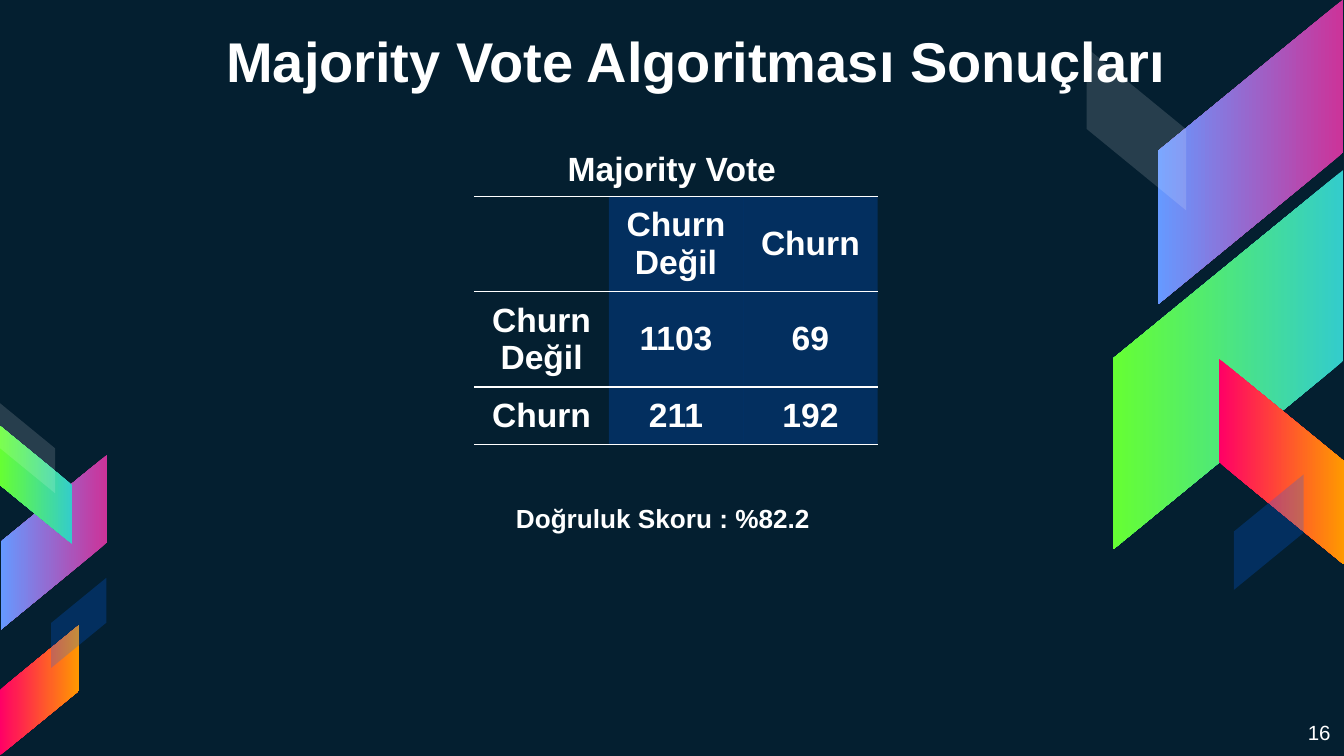
from dataclasses import dataclass
from typing import Any, Optional

from lxml.etree import SubElement
from pptx import Presentation
from pptx.dml.color import RGBColor as Rgb
from pptx.enum.shapes import MSO_SHAPE as Shape
from pptx.enum.text import MSO_ANCHOR as Anchor, MSO_AUTO_SIZE as AutoSize, PP_ALIGN as Align
from pptx.oxml.ns import qn
from pptx.util import Inches, Pt


@dataclass(frozen=True)
class Theme:
    font: str = "Arial"
    background: str = "041F30"
    white: str = "FFFFFF"
    blue: str = "0066FF"
    violet: tuple = ("CC3399", "6699FF")
    green: tuple = ("33CCCC", "66FF33")
    fire: tuple = ("FF0066", "FF9900")
    white_alpha: int = 14
    blue_alpha: int = 23
    title_size: int = 30
    table_size: int = 18
    score_size: int = 14
    number_size: int = 11
    rule_width: float = 0.75


THEME = Theme()


@dataclass(frozen=True)
class Ribbon:
    left: float
    top: float
    width: float
    height: float
    rotation: int
    flipped: bool
    gradient: Optional[tuple] = None
    color: str = THEME.white
    alpha: int = THEME.white_alpha


RIBBONS = [
    # Right cluster
    Ribbon(8.17, 0.44, 2.27, 1.38, 90, True, THEME.violet),
    Ribbon(7.73, 1.82, 2.82, 1.71, 90, True, THEME.green),
    Ribbon(8.77, 2.97, 1.53, 0.93, 270, False, THEME.fire),
    Ribbon(7.85, 0.59, 1.21, 0.74, 270, False),
    Ribbon(9.01, 3.7, 0.86, 0.52, 270, True, None, THEME.blue, THEME.blue_alpha),
    # Left cluster
    Ribbon(-0.25, 3.64, 1.3, 0.79, 90, True, THEME.violet),
    Ribbon(-0.17, 3.34, 0.88, 0.54, 90, False, THEME.green),
    Ribbon(-0.19, 4.84, 0.97, 0.59, 270, True, THEME.fire),
    Ribbon(-0.13, 3.13, 0.67, 0.41, 270, False),
    Ribbon(0.25, 4.43, 0.67, 0.41, 270, True, None, THEME.blue, THEME.blue_alpha),
]

MATRIX = [
    ["", "Churn Değil", "Churn"],
    ["Churn Değil", "1103", "69"],
    ["Churn", "211", "192"],
]
ROW_HEIGHTS = [0.71, 0.71, 0.43]
COLUMN_WIDTH = 1


def fill_translucent(fill: Any, properties: Any, color: str, alpha: int) -> None:
    fill.solid()
    fill.fore_color.rgb = Rgb.from_string(color)
    color_element = next(properties.iter(qn("a:srgbClr")))
    SubElement(color_element, qn("a:alpha")).set("val", str(alpha * 1000))


def draw_ribbon(page: Any, ribbon: Ribbon) -> None:
    shape = page.shapes.add_shape(
        Shape.PARALLELOGRAM, Inches(ribbon.left), Inches(ribbon.top),
        Inches(ribbon.width), Inches(ribbon.height))
    shape.adjustments[0] = 0.819
    shape.rotation = ribbon.rotation
    if ribbon.flipped:
        shape.element.spPr.xfrm.set("flipH", "1")
    shape.shadow.inherit = False
    shape.line.fill.background()
    if ribbon.gradient:
        shape.fill.gradient()
        shape.fill.gradient_angle = 270
        for stop, color in zip(shape.fill.gradient_stops, ribbon.gradient):
            stop.color.rgb = Rgb.from_string(color)
    else:
        fill_translucent(shape.fill, shape.element.spPr, ribbon.color, ribbon.alpha)


def write_text(frame: Any, text: str, *, size: int, bold: bool = True,
               align: Any = Align.CENTER) -> None:
    para = frame.paragraphs[0]
    para.alignment = align
    span = para.add_run()
    span.text = text
    span.font.name = THEME.font
    span.font.size = Pt(size)
    span.font.bold = bold
    span.font.color.rgb = Rgb.from_string(THEME.white)


def prepare_frame(frame: Any, anchor: Any = Anchor.TOP) -> None:
    frame.word_wrap = True
    frame.auto_size = AutoSize.NONE
    frame.vertical_anchor = anchor
    frame.margin_left = frame.margin_right = Inches(0.1)
    frame.margin_top = frame.margin_bottom = Inches(0.1)


def add_text(page: Any, left: float, top: float, width: float, height: float,
             text: str, **style: Any) -> None:
    box = page.shapes.add_textbox(Inches(left), Inches(top), Inches(width), Inches(height))
    prepare_frame(box.text_frame)
    write_text(box.text_frame, text, **style)


def set_borders(properties: Any) -> None:
    """Rule the top and bottom of a cell and leave its sides open."""
    for position, side in enumerate(("lnL", "lnR", "lnT", "lnB")):
        line = SubElement(properties, qn(f"a:{side}"))
        properties.insert(position, line)
        if side in ("lnL", "lnR"):
            SubElement(line, qn("a:noFill"))
        else:
            line.set("w", str(Pt(THEME.rule_width)))
            solid = SubElement(line, qn("a:solidFill"))
            SubElement(solid, qn("a:srgbClr")).set("val", THEME.white)


def draw_matrix(page: Any, left: float, top: float) -> None:
    count = len(MATRIX[0])
    table = page.shapes.add_table(
        len(MATRIX), count, Inches(left), Inches(top),
        Inches(COLUMN_WIDTH * count), Inches(sum(ROW_HEIGHTS))).table
    table.first_row = table.horz_banding = False
    for column in table.columns:
        column.width = Inches(COLUMN_WIDTH)
    for row, values, height in zip(table.rows, MATRIX, ROW_HEIGHTS):
        row.height = Inches(height)
        for column_index, (cell, value) in enumerate(zip(row.cells, values)):
            cell.vertical_anchor = Anchor.MIDDLE
            cell.margin_left = cell.margin_right = Inches(0.1)
            cell.margin_top = cell.margin_bottom = Inches(0.07)
            properties = cell._tc.get_or_add_tcPr()
            if column_index:
                fill_translucent(cell.fill, properties, THEME.blue, THEME.blue_alpha)
            else:
                cell.fill.background()
            set_borders(properties)
            if value:
                write_text(cell.text_frame, value, size=THEME.table_size)


def main() -> None:
    # Widescreen page, 16 to 9
    deck = Presentation()
    deck.slide_width = Inches(10)
    deck.slide_height = deck.slide_width * 9 // 16
    page = deck.slides.add_slide(deck.slide_layouts[5])
    page.background.fill.solid()
    page.background.fill.fore_color.rgb = Rgb.from_string(THEME.background)

    # Decoration
    for ribbon in RIBBONS:
        draw_ribbon(page, ribbon)

    # Title, brought in front of the ribbons
    title = page.shapes.title
    title.left, title.top = Inches(1.46), Inches(0.1)
    title.width, title.height = Inches(7.44), Inches(0.7)
    prepare_frame(title.text_frame, Anchor.BOTTOM)
    write_text(title.text_frame, "Majority Vote Algoritması Sonuçları", size=THEME.title_size)
    title.element.getparent().append(title.element)

    # Page number
    add_text(page, 9.36, 5.26, 0.64, 0.36, "16", size=THEME.number_size,
             bold=False, align=Align.RIGHT)

    # Confusion matrix with its caption and score
    draw_matrix(page, 3.53, 1.46)
    add_text(page, 3.93, 1, 2.14, 0.36, "Majority Vote", size=THEME.table_size)
    add_text(page, 3.74, 3.64, 2.59, 0.66, "Doğruluk Skoru : %82.2",
             size=THEME.score_size, align=Align.LEFT)
    deck.save("out.pptx")


if __name__ == "__main__":
    main()
